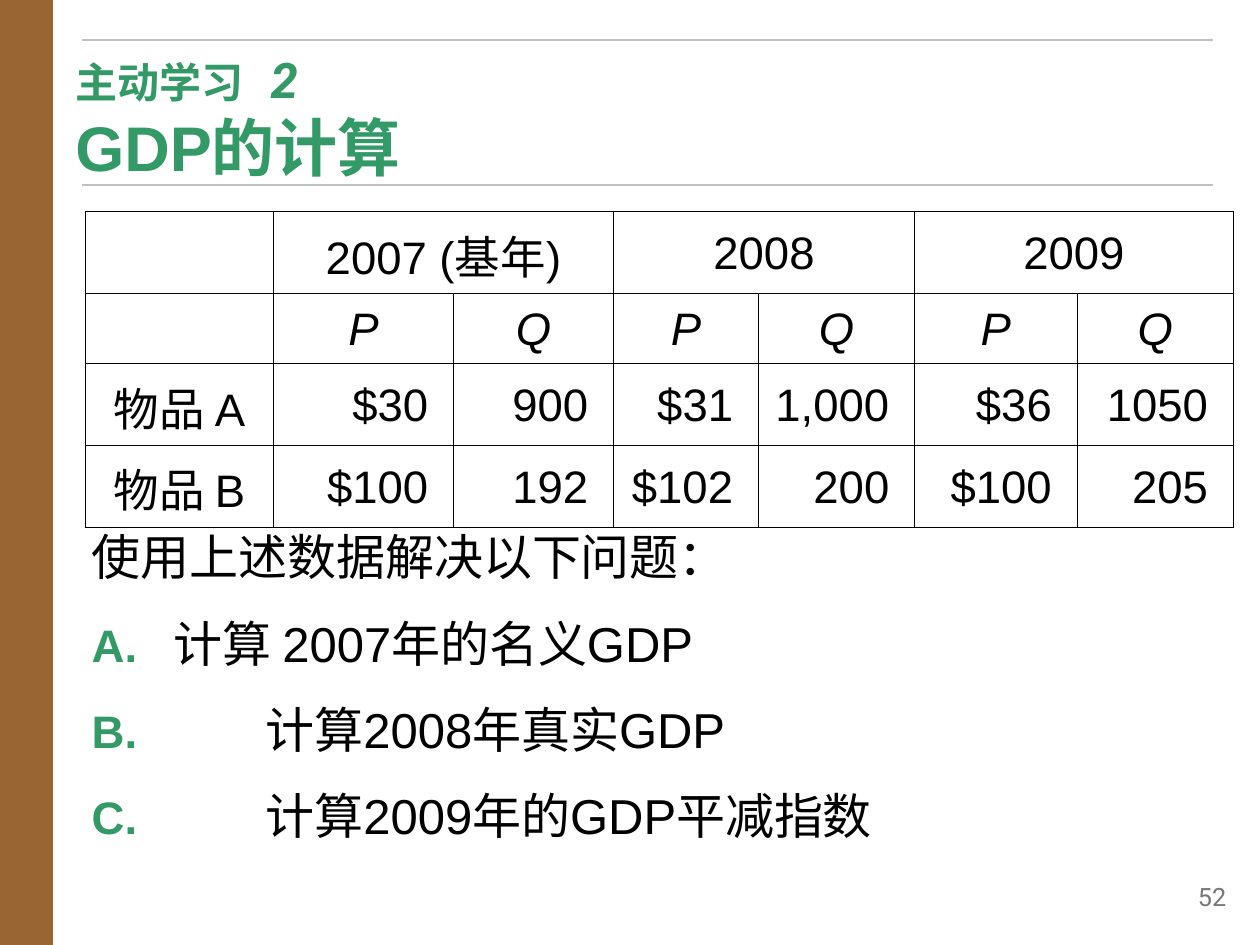
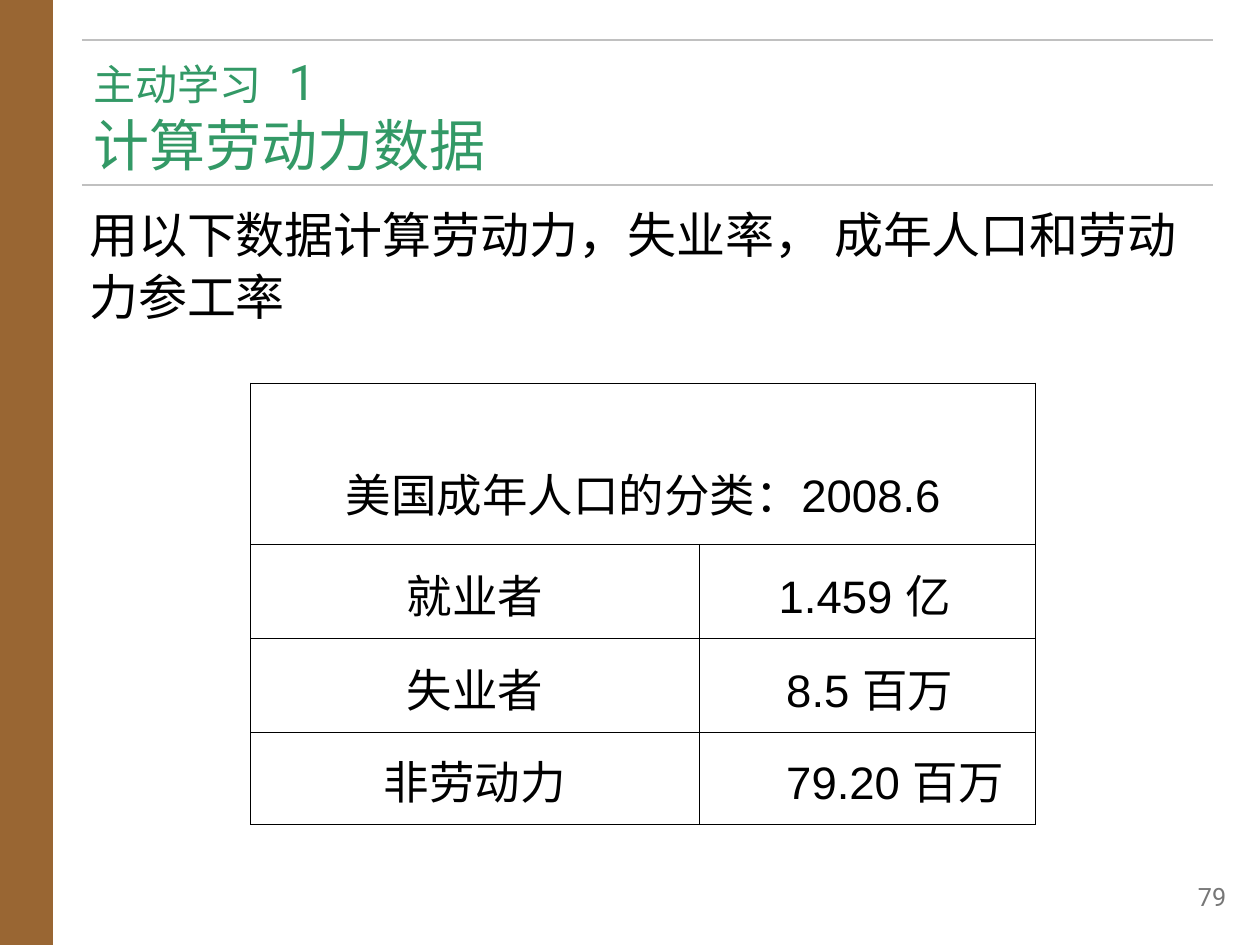
import pptx
import pptx.dml.color
import pptx.enum.shapes
import pptx.enum.text
import pptx.oxml
import pptx.oxml.ns
import pptx.util
from lxml import etree

Inches, Pt = pptx.util.Inches, pptx.util.Pt
ALIGN, ANCHOR = pptx.enum.text.PP_ALIGN, pptx.enum.text.MSO_ANCHOR
COLORS = {"band": "996633", "accent": "339966", "rule": "C0C0C0",
          "page": "777777", "text": "000000", "paper": "FFFFFF"}
INSETS = (0.1, 0.05, 0.1, 0.05)
FIGURE_INSETS = (0.05, 0.05, 0.2, 0.05)


def rgb(name):
    """Return the named colour."""
    return pptx.dml.color.RGBColor.from_string(COLORS[name])


def child(parent, tag, **attrs):
    """Append a DrawingML element and return it."""
    return etree.SubElement(parent, pptx.oxml.ns.qn(tag), attrs)


def add_run(p, text, size, color="text", font="Arial", bold=False, italic=False):
    """Add one formatted run to a paragraph."""
    r = p.add_run()
    r.text = text
    r.font.name, r.font.size = font, Pt(size)
    r.font.bold, r.font.italic = bold, italic
    r.font.color.rgb = rgb(color)


def add_tab(p, position):
    """Set one left tab stop on a paragraph."""
    tabs = child(p._p.get_or_add_pPr(), "a:tabLst")
    child(tabs, "a:tab", pos=str(Inches(position)), algn="l")


def add_box(s, box, insets=INSETS, anchor=ANCHOR.TOP):
    """Add a wrapping text box and return its text frame."""
    tf = s.shapes.add_textbox(*map(Inches, box)).text_frame
    tf.word_wrap, tf.vertical_anchor = True, anchor
    tf.margin_left, tf.margin_top, tf.margin_right, tf.margin_bottom = map(Inches, insets)
    return tf


def add_frame(s, page):
    """Draw the side band, the two title rules and the page number."""
    band = s.shapes.add_shape(pptx.enum.shapes.MSO_SHAPE.RECTANGLE, 0, 0, Inches(0.42), Inches(7.5))
    band.shadow.inherit = False
    band.fill.solid()
    band.fill.fore_color.rgb = rgb("band")
    band.line.fill.background()
    for y in (0.32, 1.47):
        rule = s.shapes.add_connector(pptx.enum.shapes.MSO_CONNECTOR.STRAIGHT,
                                      Inches(0.65), Inches(y), Inches(9.63), Inches(y))
        rule.line.color.rgb, rule.line.width = rgb("rule"), Pt(1)
        child(rule._element.spPr, "a:effectLst")
    p = add_box(s, (9.08, 6.97, 0.75, 0.4)).paragraphs[0]
    p.alignment, p.line_spacing = ALIGN.RIGHT, 0.9
    add_run(p, page, 14.4, "page", "Roboto")


def add_title(s, box, number, title, size, bold):
    """Write the activity label and number above the slide title."""
    tf = add_box(s, box, (0.1, 0, 0.1, 0), ANCHOR.MIDDLE)
    p = tf.paragraphs[0]
    add_tab(p, 1.55)
    add_run(p, "主动学习\t", 24, "accent", "Roboto", bold)
    add_run(p, number, 28, "accent", "Roboto", bold, bold)
    add_run(tf.add_paragraph(), title, size, "accent", bold=bold)


def add_body(s, box, intro, questions=()):
    """Write an introduction followed by lettered questions."""
    tf = add_box(s, box)
    p = tf.paragraphs[0]
    p.line_spacing = 1.05
    add_run(p, intro, 28)
    for letter, tab, question in questions:
        p = tf.add_paragraph()
        p.line_spacing, p.space_before = 1.05, Pt(14)
        add_tab(p, tab)
        add_run(p, f"{letter}.\t", 26, "accent", bold=True)
        add_run(p, question, 28)


def add_grid(s, left, top, cols, rows):
    """Add a white table with thin black borders."""
    size = map(Inches, (left, top, sum(cols), sum(rows)))
    table = s.shapes.add_table(len(rows), len(cols), *size).table
    table.first_row = table.horz_banding = False
    for col, width in zip(table.columns, cols):
        col.width = Inches(width)
    for row, height in zip(table.rows, rows):
        row.height = Inches(height)
    for cell in table.iter_cells():
        tcPr = cell._tc.get_or_add_tcPr()
        for side in ("a:lnL", "a:lnR", "a:lnT", "a:lnB"):
            ln = child(tcPr, side, w=str(Pt(0.45)))
            child(child(ln, "a:solidFill"), "a:srgbClr", val=COLORS["text"])
        cell.fill.solid()
        cell.fill.fore_color.rgb = rgb("paper")
    return table


def set_cell(cell, text, align=ALIGN.CENTER, insets=INSETS, italic=False, anchor=ANCHOR.MIDDLE):
    """Fill one table cell with text."""
    cell.vertical_anchor = anchor
    cell.margin_left, cell.margin_top, cell.margin_right, cell.margin_bottom = map(Inches, insets)
    p = cell.text_frame.paragraphs[0]
    p.alignment, p.line_spacing = align, 1.05
    add_run(p, text, 26, italic=italic)


def add_price_table(s, left, top):
    """Tabulate price and quantity of both goods for each year."""
    table = add_grid(s, left, top, (1.49, 1.43, 1.27, 1.15, 1.24, 1.29, 1.24),
                     (0.65, 0.55, 0.65, 0.65))
    for i, year in enumerate(("2007 (基年)", "2008", "2009")):
        col = 1 + 2 * i
        table.cell(0, col).merge(table.cell(0, col + 1))
        set_cell(table.cell(0, col), year)
        for j, heading in enumerate("PQ"):
            set_cell(table.cell(1, col + j), heading, italic=True)
    goods = (("物品 A", "$30", "900", "$31", "1,000", "$36", "1050"),
             ("物品 B", "$100", "192", "$102", "200", "$100", "205"))
    for row, (good, *figures) in enumerate(goods, 2):
        set_cell(table.cell(row, 0), good)
        for col, figure in enumerate(figures, 1):
            set_cell(table.cell(row, col), figure, ALIGN.RIGHT, FIGURE_INSETS)


def add_population_table(s, left, top):
    """Tabulate the adult population by employment status."""
    table = add_grid(s, left, top, (3.56, 2.67), (1.28, 0.75, 0.74, 0.73))
    table.cell(0, 0).merge(table.cell(0, 1))
    set_cell(table.cell(0, 0), "美国成年人口的分类：2008.6",
             insets=(0.1, 0.05, 0.1, 0.15), anchor=ANCHOR.BOTTOM)
    groups = (("就业者", "1.459 亿", 0.63), ("失业者", "8.5 百万", 0.69),
              ("非劳动力", "79.20 百万", 0.69))
    for row, (group, count, indent) in enumerate(groups, 1):
        set_cell(table.cell(row, 0), group)
        set_cell(table.cell(row, 1), count, ALIGN.LEFT, (indent, 0.05, 0.05, 0.05))


def build_gdp_slide(prs):
    """Build the GDP exercise slide."""
    s = prs.slides.add_slide(prs.slide_layouts[6])
    add_frame(s, "52")
    add_title(s, (0.5, 0.3, 9, 1.25), "2", "GDP的计算", 36, True)
    add_body(s, (0.63, 4.11, 9, 2.82), "使用上述数据解决以下问题：",
             (("A", 0.65, "计算 2007年的名义GDP"),
              ("B", 1.38, "计算2008年真实GDP"),
              ("C", 1.38, "计算2009年的GDP平减指数")))
    add_price_table(s, 0.68, 1.68)


def build_labor_slide(prs):
    """Build the labour force exercise slide."""
    s = prs.slides.add_slide(prs.slide_layouts[6])
    add_frame(s, "79")
    add_title(s, (0.64, 0.39, 8.98, 1.04), "1", "计算劳动力数据", 32, False)
    add_body(s, (0.61, 1.55, 9, 1.18), "用以下数据计算劳动力，失业率， 成年人口和劳动力参工率")
    add_population_table(s, 1.99, 3.04)


def main():
    """Create and save the presentation."""
    prs = pptx.Presentation()
    prs.slide_width, prs.slide_height = Inches(10), Inches(7.5)
    build_gdp_slide(prs)
    build_labor_slide(prs)
    prs.save("out.pptx")


if __name__ == "__main__":
    main()
